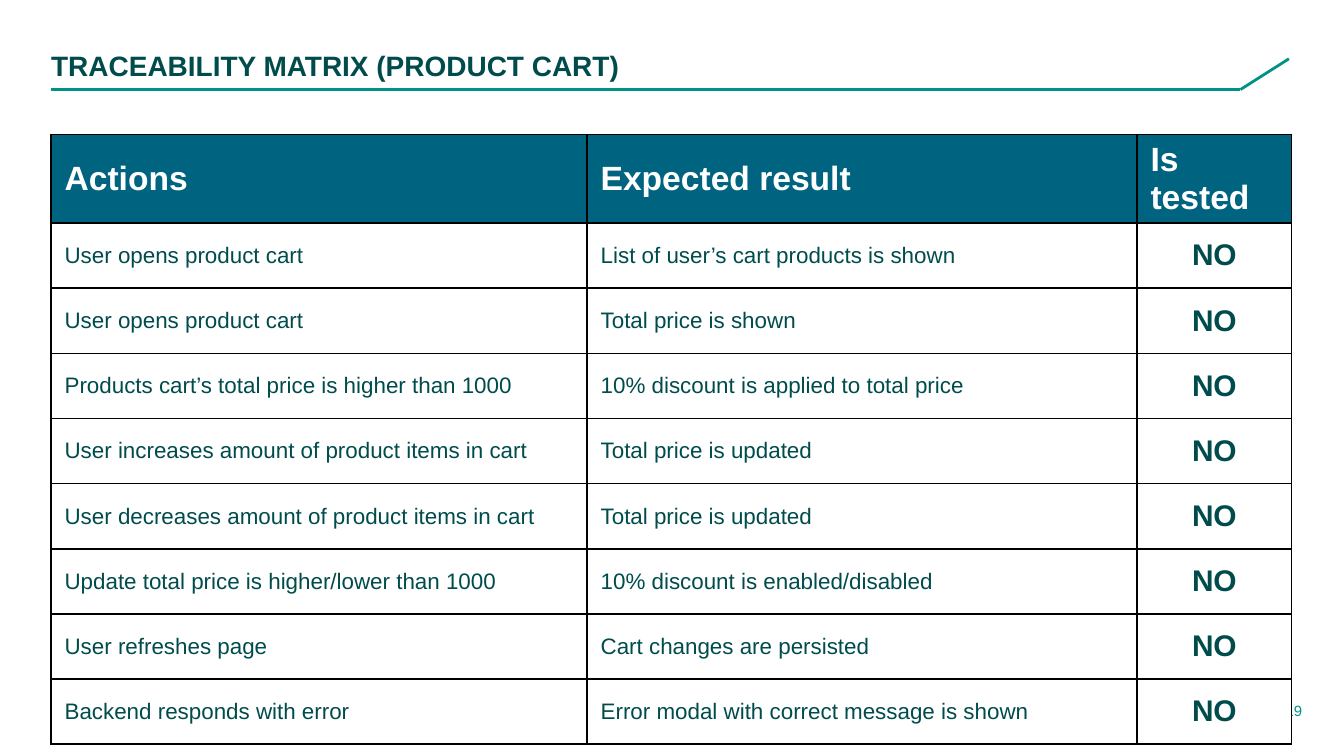
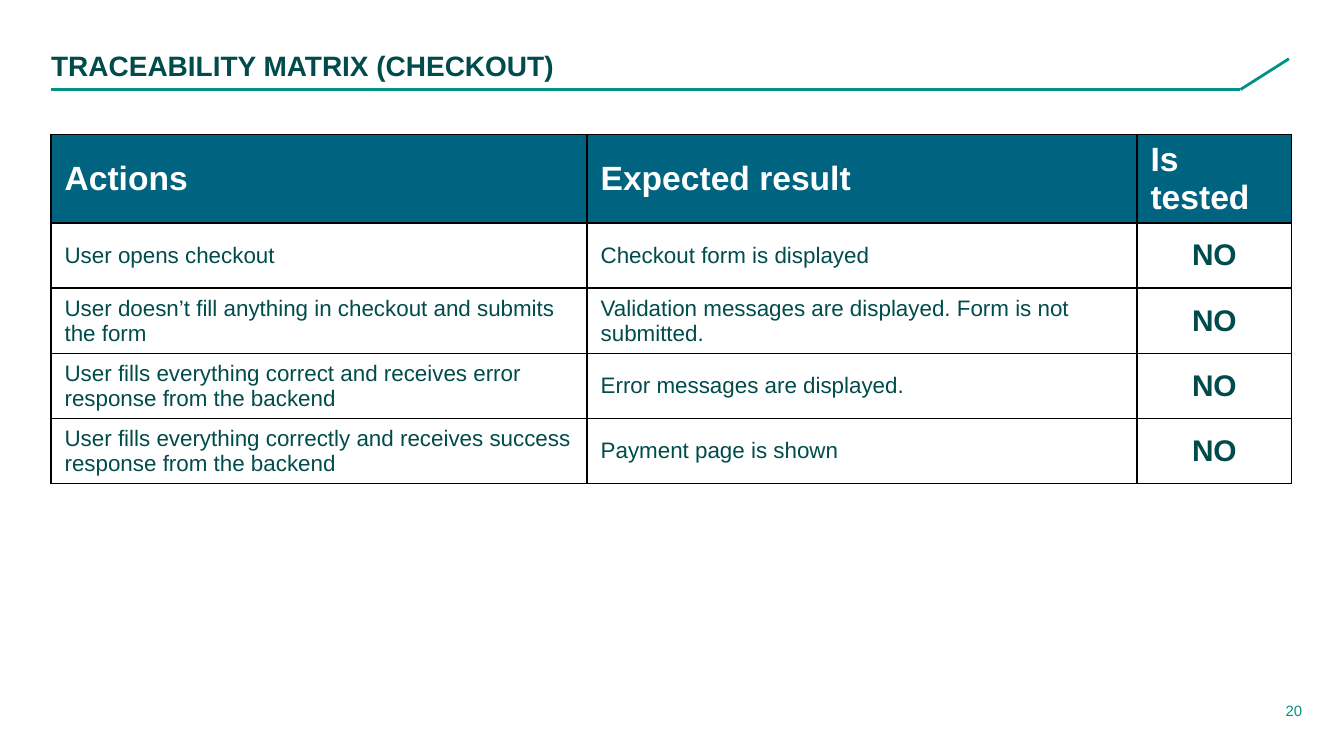
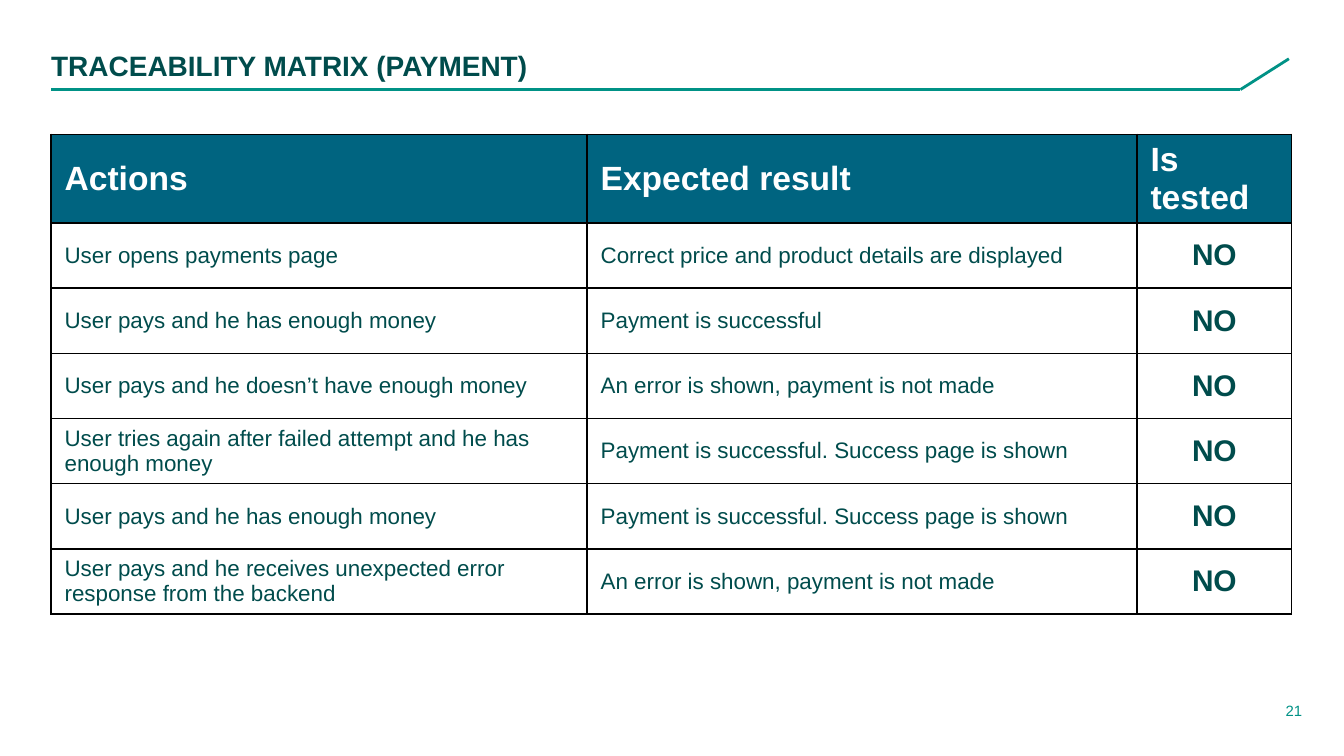
"""Build three slides of test traceability matrices."""
from dataclasses import dataclass
from itertools import pairwise

from lxml.etree import SubElement
from pptx import Presentation
from pptx.dml.color import RGBColor
from pptx.enum.shapes import MSO_CONNECTOR
from pptx.enum.text import MSO_ANCHOR, MSO_AUTO_SIZE, PP_ALIGN
from pptx.oxml.ns import qn
from pptx.util import Pt


@dataclass(frozen=True)
class Theme:
    font: str = "Arial"
    ink: str = "004C4C"
    accent: str = "009286"
    header_fill: str = "006480"
    paper: str = "FFFFFF"
    border: str = "000000"
    title_size: float = 15
    header_size: float = 18
    body_size: float = 12
    status_size: float = 16
    number_size: float = 8
    line_width: float = 1.5
    border_width: float = 1


LEFT = 27.4
CONTENT_WIDTH = 664.6
RULE_POINTS = ((LEFT, 48), (664.5, 48), (690.5, 31.5))
TABLE_TOP = 72
COLUMN_WIDTHS = (287.2, 294.6, 82.8)
HEADER_HEIGHT = 38.2
ROW_HEIGHT = 34.9
HEADINGS = ("Actions", "Expected result", "Is tested")
STATUS = "NO"
FIRST_NUMBER = 19

MATRICES = (
    ("PRODUCT CART", (
        ("User opens product cart", "List of user’s cart products is shown"),
        ("User opens product cart", "Total price is shown"),
        ("Products cart’s total price is higher than 1000",
         "10% discount is applied to total price"),
        ("User increases amount of product items in cart", "Total price is updated"),
        ("User decreases amount of product items in cart", "Total price is updated"),
        ("Update total price is higher/lower than 1000", "10% discount is enabled/disabled"),
        ("User refreshes page", "Cart changes are persisted"),
        ("Backend responds with error", "Error modal with correct message is shown"),
    )),
    ("CHECKOUT", (
        ("User opens checkout", "Checkout form is displayed"),
        ("User doesn’t fill anything in checkout and submits the form",
         "Validation messages are displayed. Form is not submitted."),
        ("User fills everything correct and receives error response from the backend",
         "Error messages are displayed."),
        ("User fills everything correctly and receives success response from the backend",
         "Payment page is shown"),
    )),
    ("PAYMENT", (
        ("User opens payments page", "Correct price and product details are displayed"),
        ("User pays and he has enough money", "Payment is successful"),
        ("User pays and he doesn’t have enough money", "An error is shown, payment is not made"),
        ("User tries again after failed attempt and he has enough money",
         "Payment is successful. Success page is shown"),
        ("User pays and he has enough money", "Payment is successful. Success page is shown"),
        ("User pays and he receives unexpected error response from the backend",
         "An error is shown, payment is not made"),
    )),
)


class MatrixDeck:
    def __init__(self, theme):
        self.theme = theme
        self.deck = Presentation()
        self.deck.slide_width, self.deck.slide_height = Pt(720), Pt(405)
        self.page = None

    def add_page(self):
        self.page = self.deck.slides.add_slide(self.deck.slide_layouts[5])

    def add_span(self, para, text, size, color, bold=False, align=PP_ALIGN.LEFT):
        para.alignment = align
        span = para.add_run()
        span.text = text
        span.font.name = self.theme.font
        span.font.size = Pt(size)
        span.font.bold = bold
        span.font.color.rgb = RGBColor.from_string(color)

    def prepare_frame(self, frame, anchor):
        frame.margin_left = frame.margin_right = frame.margin_top = frame.margin_bottom = 0
        frame.word_wrap = True
        frame.auto_size = MSO_AUTO_SIZE.NONE
        frame.vertical_anchor = anchor

    def add_title(self, text):
        box = self.page.shapes.title
        box.left, box.top, box.width, box.height = Pt(LEFT), Pt(27.4), Pt(CONTENT_WIDTH), Pt(17.3)
        self.prepare_frame(box.text_frame, MSO_ANCHOR.MIDDLE)
        para = box.text_frame.paragraphs[0]
        para.line_spacing = 0.9
        para.space_before = Pt(0)
        self.add_span(para, text, self.theme.title_size, self.theme.ink, bold=True)

    def add_page_number(self, number):
        box = self.page.shapes.add_textbox(Pt(646.6), Pt(375.8), Pt(51), Pt(14.4))
        self.prepare_frame(box.text_frame, MSO_ANCHOR.TOP)
        self.add_span(box.text_frame.paragraphs[0], str(number), self.theme.number_size,
                      self.theme.accent, align=PP_ALIGN.RIGHT)

    def add_title_rule(self):
        group = self.page.shapes.add_group_shape()
        for start, end in pairwise(RULE_POINTS):
            line = group.shapes.add_connector(
                MSO_CONNECTOR.STRAIGHT, *(Pt(length) for length in start + end))
            line.line.color.rgb = RGBColor.from_string(self.theme.accent)
            line.line.width = Pt(self.theme.line_width)
            SubElement(line._element.spPr, qn("a:effectLst"))

    def add_borders(self, cell):
        properties = cell._tc.get_or_add_tcPr()
        for position, side in enumerate(("lnL", "lnR", "lnT", "lnB")):
            edge = properties.makeelement(
                qn(f"a:{side}"), {"w": str(Pt(self.theme.border_width))})
            fill = SubElement(edge, qn("a:solidFill"))
            SubElement(fill, qn("a:srgbClr"), val=self.theme.border)
            properties.insert(position, edge)

    def fill_cell(self, cell, text, fill, size, color, bold=False, align=PP_ALIGN.LEFT):
        cell.vertical_anchor = MSO_ANCHOR.MIDDLE
        cell.fill.solid()
        cell.fill.fore_color.rgb = RGBColor.from_string(fill)
        self.add_borders(cell)
        self.add_span(cell.text_frame.paragraphs[0], text, size, color, bold, align)

    def add_matrix(self, cases):
        theme = self.theme
        height = HEADER_HEIGHT + ROW_HEIGHT * len(cases)
        table = self.page.shapes.add_table(
            len(cases) + 1, len(HEADINGS), Pt(LEFT), Pt(TABLE_TOP),
            Pt(CONTENT_WIDTH), Pt(height)).table
        table.first_row = table.horz_banding = False
        for column, width in zip(table.columns, COLUMN_WIDTHS):
            column.width = Pt(width)
        for index, row in enumerate(table.rows):
            row.height = Pt(ROW_HEIGHT if index else HEADER_HEIGHT)
        for column, heading in enumerate(HEADINGS):
            self.fill_cell(table.cell(0, column), heading, theme.header_fill,
                           theme.header_size, theme.paper, bold=True)
        for row, case in enumerate(cases, start=1):
            for column, text in enumerate(case):
                self.fill_cell(table.cell(row, column), text, theme.paper,
                               theme.body_size, theme.ink)
            self.fill_cell(table.cell(row, len(case)), STATUS, theme.paper,
                           theme.status_size, theme.ink, bold=True, align=PP_ALIGN.CENTER)


def main():
    builder = MatrixDeck(Theme())
    for number, (feature, cases) in enumerate(MATRICES, start=FIRST_NUMBER):
        builder.add_page()
        builder.add_page_number(number)
        builder.add_title_rule()
        builder.add_title(f"TRACEABILITY MATRIX ({feature})")
        builder.add_matrix(cases)
    builder.deck.save("out.pptx")


if __name__ == "__main__":
    main()
